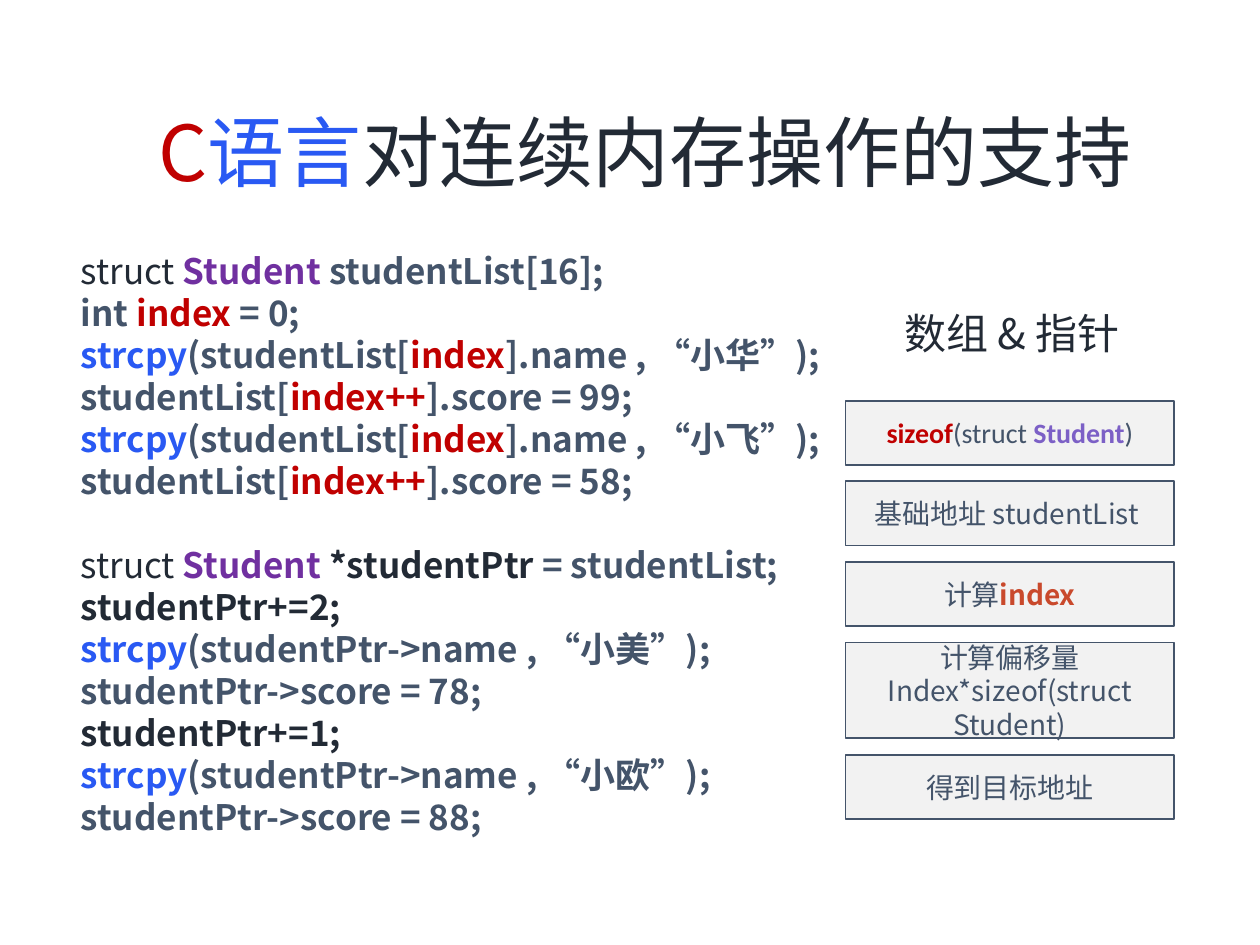
from dataclasses import dataclass
from lxml.etree import SubElement
from pptx import Presentation
from pptx.dml.color import RGBColor as RGB
from pptx.enum.lang import MSO_LANGUAGE_ID as LANG
from pptx.enum.shapes import MSO_SHAPE as SHAPE
from pptx.enum.text import MSO_ANCHOR as ANCHOR, MSO_AUTO_SIZE as FIT, PP_ALIGN as ALIGN
from pptx.oxml.ns import qn
from pptx.util import Inches, Pt


@dataclass(frozen=True)
class Theme:
    font: str = "Noto Sans CJK JP"
    latin: str = "Calibri"
    ink: str = "222A35"
    slate: str = "44546A"
    red: str = "C00000"
    blue: str = "2959F3"
    purple: str = "7030A0"
    violet: str = "7C60C6"
    orange: str = "C9492C"
    panel: str = "F2F2F2"
    title: int = 44
    heading: int = 24
    code: int = 20
    step: int = 16
    leading: float = 1.2


T = Theme()
COLS, ROWS = 100, 75  # grid cells across and down the slide


def run(text, color=T.slate, bold=False, font=T.font, outline=None):
    """Describe one run of text and its format."""
    return dict(text=text, color=color, bold=bold, font=font, outline=outline)


class Deck:
    """Holds the theme and the current slide; lengths are grid cells."""

    def __init__(self, theme):
        self.theme = theme
        self.prs = Presentation()
        self.prs.slide_width, self.prs.slide_height = Inches(10), Inches(7.5)
        self.slide = self.prs.slides.add_slide(self.prs.slide_layouts[1])

    def box(self, col, row, cols, rows):
        dx, dy = self.prs.slide_width / COLS, self.prs.slide_height / ROWS
        return int(col * dx), int(row * dy), int(cols * dx), int(rows * dy)

    def set_text(self, sp, lines, size, align=ALIGN.CENTER, anchor=ANCHOR.TOP, gaps=()):
        """Fill a shape with lines of runs; gaps lists the lines set one line lower."""
        tf = sp.text_frame
        tf.word_wrap, tf.auto_size, tf.vertical_anchor = True, FIT.NONE, anchor
        pitch = Pt(size * self.theme.leading)
        for i, runs in enumerate(lines):
            p = tf.paragraphs[0] if i == 0 else tf.add_paragraph()
            p.alignment, p.line_spacing = align, pitch
            p.space_before = pitch if i in gaps else Pt(0)
            pPr = p._p.get_or_add_pPr()
            pPr.set("marL", "0")
            pPr.set("indent", "0")
            SubElement(pPr, qn("a:buNone"))
            for item in runs:
                self.add_run(p, size, **item)

    def add_run(self, p, size, text, color, bold, font, outline):
        r = p.add_run()
        r.text = text
        f = r.font
        f.size, f.bold, f.name = Pt(size), bold, font
        f.color.rgb = RGB.from_string(color)
        f.language_id = LANG.SIMPLIFIED_CHINESE
        rPr = r._r.get_or_add_rPr()
        SubElement(rPr, qn("a:ea"), typeface=font)
        if outline:
            ln = SubElement(rPr, qn("a:ln"), w=str(int(Pt(2.25))))
            fill = SubElement(ln, qn("a:solidFill"))
            SubElement(fill, qn("a:srgbClr"), val=outline)
            rPr.insert(0, ln)

    def placeholder(self, index, area, lines, size, **fmt):
        sp = self.slide.placeholders[index]
        sp.left, sp.top, sp.width, sp.height = self.box(*area)
        self.set_text(sp, lines, size, **fmt)

    def text(self, area, lines, size):
        self.set_text(self.slide.shapes.add_textbox(*self.box(*area)), lines, size)

    def panel(self, area, lines):
        sp = self.slide.shapes.add_shape(SHAPE.RECTANGLE, *self.box(*area))
        sp.shadow.inherit = False
        sp.fill.solid()
        sp.fill.fore_color.rgb = RGB.from_string(self.theme.panel)
        sp.line.color.rgb = RGB.from_string(self.theme.slate)
        sp.line.width = Pt(1)
        self.set_text(sp, lines, self.theme.step, anchor=ANCHOR.MIDDLE)


# Repeated patterns of code
def code(text, color=T.slate):
    return run(text, color, bold=True)


def declare(*rest):
    return [run("struct ", T.ink), code("Student ", T.purple), *rest]


def copy_to_list(name):
    return [code("strcpy", T.blue), code("(studentList["), code("index", T.red),
            code(f"].name , “{name}”);")]


def score_in_list(score):
    return [code("studentList["), code("index++", T.red), code(f"].score = {score};")]


def by_pointer(step, name, score):
    return [[code(f"studentPtr+={step};", T.ink)],
            [code("strcpy", T.blue), code(f"(studentPtr->name , “{name}”);")],
            [code(f"studentPtr->score = {score};")]]


def main():
    deck = Deck(T)

    # Title
    deck.placeholder(0, (10.3, 7.8, 81.9, 8.4), [[
        run("C", T.red, outline=T.red), run("语言", T.blue),
        run("对连续内存操作的支持", T.ink)]], T.title)

    # Code: array access, then pointer access
    array = [declare(code("studentList[16];")),
             [code("int "), code("index", T.red), code(" = 0;")],
             copy_to_list("小华"), score_in_list(99),
             copy_to_list("小飞"), score_in_list(58)]
    pointer = [declare(code("*studentPtr ", T.ink), code("= studentList;")),
               *by_pointer(2, "小美", 78), *by_pointer(1, "小欧", 88)]
    deck.placeholder(1, (5.4, 19.3, 63.7, 51.5), array + pointer, T.code,
                     align=ALIGN.LEFT, gaps=(len(array),))

    # Address steps, stacked with equal gaps
    steps = [
        (5.1, [[run("sizeof", T.red, True, T.latin), run("(struct ", font=T.latin),
                run("Student", T.violet, True, T.latin), run(")", font=T.latin)]]),
        (5.1, [[run("基础地址 studentList ")]]),
        (5.1, [[run("计算"), run("index", T.orange, True)]]),
        (7.6, [[run("计算偏移量")], [run("Index*sizeof(struct Student)")]]),
        (5.1, [[run("得到目标地址")]]),
    ]
    row, gap = 31.8, 1.3
    for rows, lines in steps:
        deck.panel((67.1, row, 26.1, rows), lines)
        row += rows + gap

    # Heading above the steps
    deck.text((63.8, 23.9, 33, 5), [[run("数组 & 指针", T.ink)]], T.heading)

    deck.prs.save("out.pptx")


if __name__ == "__main__":
    main()
